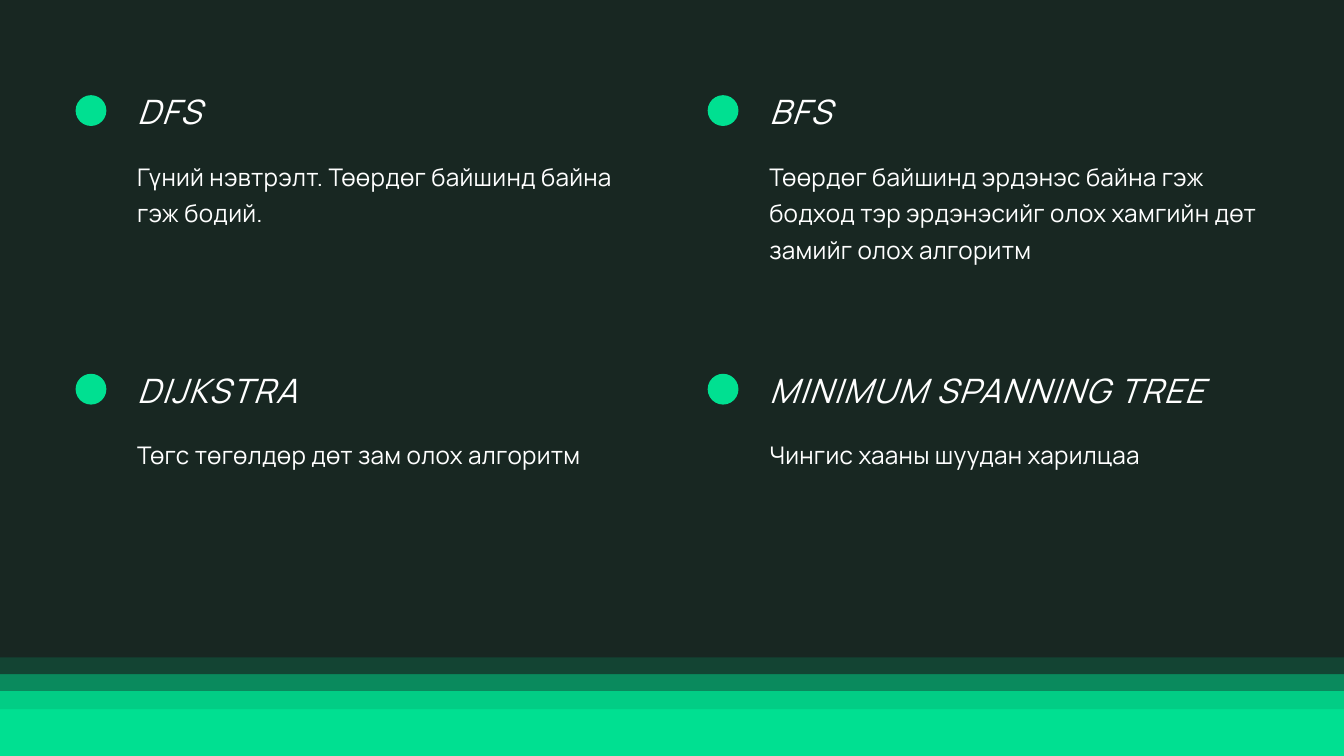
from pptx import Presentation
from pptx import util as u
from pptx.dml.color import RGBColor
from pptx.enum import shapes, text
from lxml import etree

PX = 9525  # EMU per px, 1920 x 1080 px slide
GREEN, DARK, WHITE = "00E091", "182722", "FFFFFF"
TITLE = {"size": u.Pt(36), "italic": True}
BODY = {"size": u.Pt(26), "italic": False}


def add_filled(kind, x, y, w, h, colour, opacity=100):
    """Add a borderless preset shape; opacity is in percent."""
    sp = s.shapes.add_shape(kind, x * PX, y * PX, w * PX, h * PX)
    sp.shadow.inherit = False
    sp.line.fill.background()
    sp.fill.solid()
    sp.fill.fore_color.rgb = RGBColor.from_string(colour)
    if opacity < 100:
        clr = sp.fill._xPr.solidFill[0]
        alpha = etree.SubElement(clr, clr.tag.replace("srgbClr", "alpha"))
        alpha.set("val", str(opacity * 1000))


def add_text(x, y, w, h, words, font, leading, tracking):
    """Add a text box; leading is in points, tracking in 1/100 point."""
    tf = s.shapes.add_textbox(x * PX, y * PX, w * PX, h * PX).text_frame
    frame = {"margin_left": 0, "margin_top": 0, "margin_right": 0, "margin_bottom": 0,
             "word_wrap": True, "auto_size": text.MSO_AUTO_SIZE.SHAPE_TO_FIT_TEXT}
    for name, value in frame.items():
        setattr(tf, name, value)
    p = tf.paragraphs[0]
    p.line_spacing = u.Pt(leading)
    r = p.add_run()
    r.text = words
    for name, value in {"name": "Manrope", **font}.items():
        setattr(r.font, name, value)
    r.font.color.rgb = RGBColor.from_string(WHITE)
    r.font._element.set("spc", str(tracking))


prs = Presentation()
prs.slide_width, prs.slide_height = 1920 * PX, 1080 * PX
s = prs.slides.add_slide(prs.slide_layouts[6])
s.background.fill.solid()
s.background.fill.fore_color.rgb = RGBColor.from_string(GREEN)

# Stacked dark panels leave stepped green bands at the bottom
for top, opacity in [(3, 10), (-23, 40), (-47, 70), (-71, 100)]:
    add_filled(shapes.MSO_SHAPE.RECTANGLE, -30, top, 1980, 1010, DARK, opacity)

# Algorithm name, description, lines of description
algorithms = [
    ("DFS", "Гүний нэвтрэлт. Төөрдөг байшинд байна гэж бодий.", 2),
    ("BFS", "Төөрдөг байшинд эрдэнэс байна гэж бодход тэр эрдэнэсийг олох "
            "хамгийн дөт замийг олох алгоритм", 3),
    ("DIJKSTRA", "Төгс төгөлдөр дөт зам олох алгоритм", 1),
    ("MINIMUM SPANNING TREE", "Чингис хааны шуудан харилцаа", 1),
]
for i, (title, body, lines) in enumerate(algorithms):
    row, col = divmod(i, 2)
    x, y = 108 + col * 903, 130 + row * 398
    add_text(x + 88, y, 713, 57, title, TITLE, 43.2, 180)
    add_text(x + 88, y + 91, 713, lines * 51, body, BODY, 39, 30)
    add_filled(shapes.MSO_SHAPE.OVAL, x, y + 6, 44, 44, GREEN)

prs.save("out.pptx")
